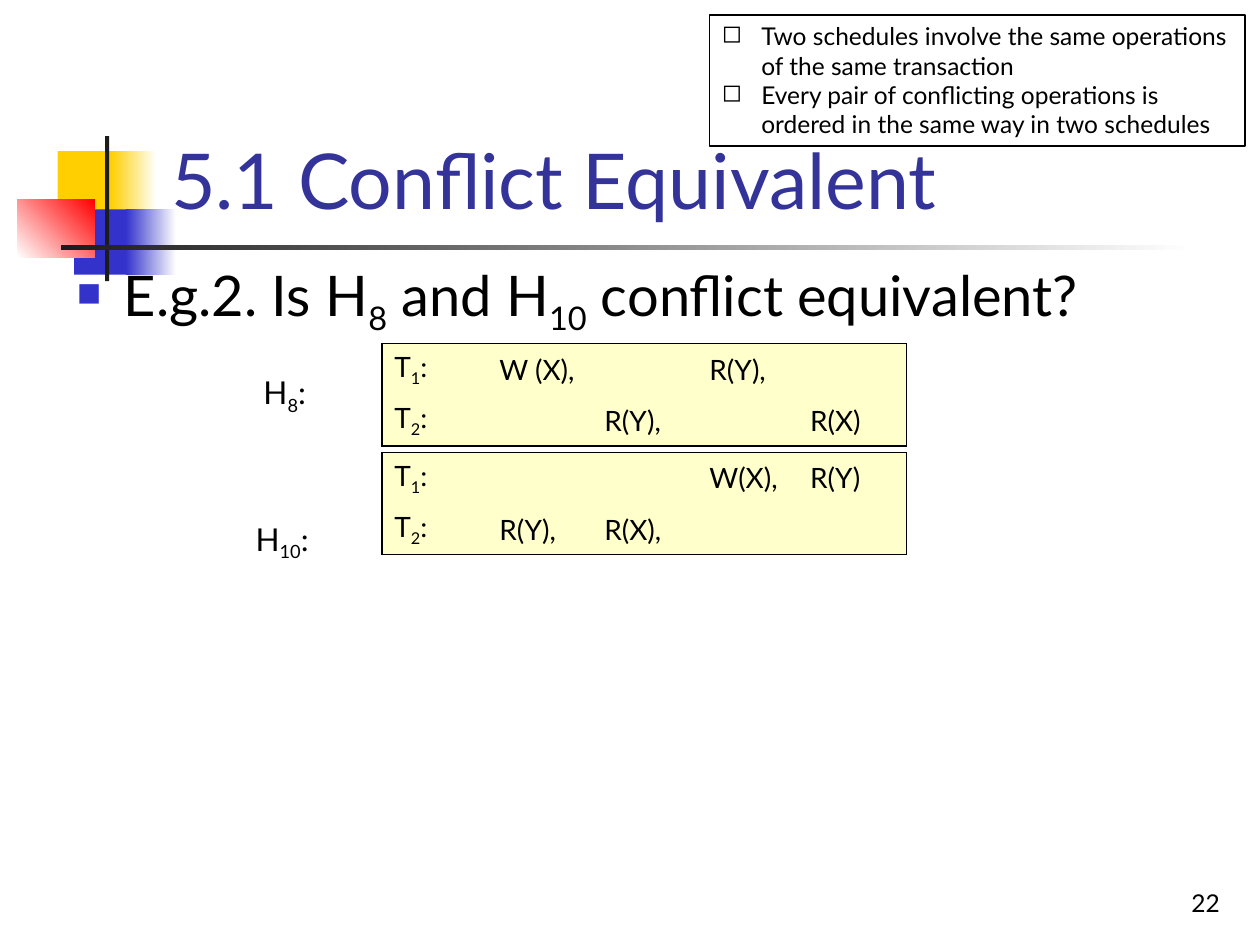
from lxml import etree
from pptx import Presentation
from pptx.dml.color import RGBColor
from pptx.enum import shapes, text
from pptx.oxml import ns
from pptx.util import Pt

FONT = "Lato"
COLORS = {
    "black": "000000",
    "charcoal": "1C1C1C",
    "white": "FFFFFF",
    "gold": "FFCF01",
    "blue": "3333CC",
    "red": "FF0000",
    "title": "333399",
    "cream": "FFFFCC",
}


def color(name):
    return RGBColor.from_string(COLORS[name])


def add_child(parent, tag, **attributes):
    return etree.SubElement(parent, ns.qn(tag), attributes)


def set_bullet(para, char, indent, color_name=None, percent=None):
    properties = para._p.get_or_add_pPr()
    properties.set("marL", str(Pt(indent)))
    properties.set("indent", str(-Pt(indent)))
    if color_name:
        tint = add_child(properties, "a:buClr")
        add_child(tint, "a:srgbClr", val=COLORS[color_name])
    if percent:
        add_child(properties, "a:buSzPct", val=str(percent * 1000))
    add_child(properties, "a:buChar", char=char)


def write(para, content, size, color_name="black"):
    for index, part in enumerate(content.split("_")):
        if part:
            span = para.add_run()
            span.text = part
            if index % 2:
                span._r.get_or_add_rPr().set("baseline", "-25000")
    para.font.name = FONT
    para.font.size = Pt(size)
    para.font.color.rgb = color(color_name)


def add_text(page, box, content, size, color_name="black",
             anchor=text.MSO_ANCHOR.BOTTOM, align=text.PP_ALIGN.LEFT, bullet=None):
    frame = page.shapes.add_textbox(*map(Pt, box)).text_frame
    frame.word_wrap = True
    frame.vertical_anchor = anchor
    para = frame.paragraphs[0]
    para.alignment = align
    if bullet:
        set_bullet(para, *bullet)
    write(para, content, size, color_name)


def add_block(page, box, start, end=None, angle=0):
    block = page.shapes.add_shape(shapes.MSO_SHAPE.RECTANGLE, *map(Pt, box))
    block.shadow.inherit = False
    block.line.fill.background()
    if end is None:
        block.fill.solid()
        block.fill.fore_color.rgb = color(start)
        return
    block.fill.gradient()
    block.fill.gradient_angle = angle
    for stop, name in zip(block.fill.gradient_stops, (start, end)):
        stop.color.rgb = color(name)


def add_emblem(page, box):
    left, top, width, height = box
    add_block(page, (left + 23, top + 8.6, 34.6, 37.4), "gold")
    add_block(page, (left + 53.4, top + 8.6, 25.9, 37.4), "gold", "white")
    add_block(page, (left + 32.4, top + 41.8, 33.1, 37.4), "blue")
    add_block(page, (left + 61.9, top + 41.8, 28.8, 37.4), "blue", "white")
    add_block(page, (left, top + 36, 44.3, 33.5), "white", "red", 45)
    add_block(page, (left + 50, top, 2.4, height), "charcoal")
    add_block(page, (left + 24.8, top + 62.5, width - 24.8, 2.6), "charcoal", "white")


def set_border(properties, index, tag, visible):
    line = etree.Element(ns.qn(tag), w=str(Pt(1)))
    if visible:
        fill = add_child(line, "a:solidFill")
        add_child(fill, "a:srgbClr", val=COLORS["black"])
    else:
        add_child(line, "a:noFill")
    properties.insert(index, line)


def add_schedule(page, box, rows):
    left, top, width, height = box
    table = page.shapes.add_table(len(rows), len(rows[0]), *map(Pt, box)).table
    table.first_row = False
    table.horz_banding = False
    widths = [60, 60, 60, 57.6]
    for column, size in zip(table.columns, widths + [width - sum(widths)]):
        column.width = Pt(size)
    for row_index, row in enumerate(rows):
        table.rows[row_index].height = Pt(height / len(rows))
        for column_index, content in enumerate(row):
            cell = table.cell(row_index, column_index)
            cell.vertical_anchor = text.MSO_ANCHOR.MIDDLE
            cell.fill.solid()
            cell.fill.fore_color.rgb = color("cream")
            write(cell.text_frame.paragraphs[0], content, 16)
            edges = {
                "a:lnL": column_index == 0,
                "a:lnR": column_index == len(row) - 1,
                "a:lnT": row_index == 0,
                "a:lnB": row_index == len(rows) - 1,
            }
            for index, (tag, visible) in enumerate(edges.items()):
                set_border(cell._tc.get_or_add_tcPr(), index, tag, visible)


def add_rules(page, box, rules):
    panel = page.shapes.add_shape(shapes.MSO_SHAPE.RECTANGLE, *map(Pt, box))
    panel.shadow.inherit = False
    panel.fill.background()
    panel.line.color.rgb = color("black")
    panel.line.width = Pt(0.75)
    frame = panel.text_frame
    frame.word_wrap = True
    frame.vertical_anchor = text.MSO_ANCHOR.TOP
    for index, rule in enumerate(rules):
        para = frame.add_paragraph() if index else frame.paragraphs[0]
        para.alignment = text.PP_ALIGN.LEFT
        set_bullet(para, "◻", 22.5)
        write(para, rule, 14)


def main():
    deck = Presentation()
    deck.slide_width, deck.slide_height = Pt(720), Pt(540)
    page = deck.slides.add_slide(deck.slide_layouts[6])

    add_emblem(page, (10, 77.8, 672.8, 82.8))
    add_text(page, (554.4, 491.8, 149.8, 36), "22", 14, align=text.PP_ALIGN.RIGHT)
    add_text(page, (90.7, 16.6, 613.4, 115.2), "5.1 Conflict Equivalent", 44, "title")
    add_text(page, (36.7, 145.4, 668.2, 82.8),
             "E.g.2. Is H_8_ and H_10_ conflict equivalent?", 32,
             anchor=text.MSO_ANCHOR.TOP, bullet=("■", 27, "blue", 60))

    add_schedule(page, (218.2, 196.4, 300, 58.4), [
        ["T_1_:", "W (X),", "", "R(Y),", ""],
        ["T_2_:", "", "R(Y),", "", "R(X)"],
    ])
    add_text(page, (143.5, 212.4, 45.4, 28.8), "H_8_:", 18)
    add_schedule(page, (218.2, 258.6, 300, 58.4), [
        ["T_1_:", "", "", "W(X),", "R(Y)"],
        ["T_2_:", "R(Y),", "R(X),", "", ""],
    ])
    add_text(page, (139, 275, 45.4, 50), "H_10_:", 18)

    add_rules(page, (405.4, 8.6, 306, 74.9), [
        "Two schedules involve the same operations of the same transaction",
        "Every pair of conflicting operations is ordered in the same way in two schedules",
    ])
    deck.save("out.pptx")


if __name__ == "__main__":
    main()
